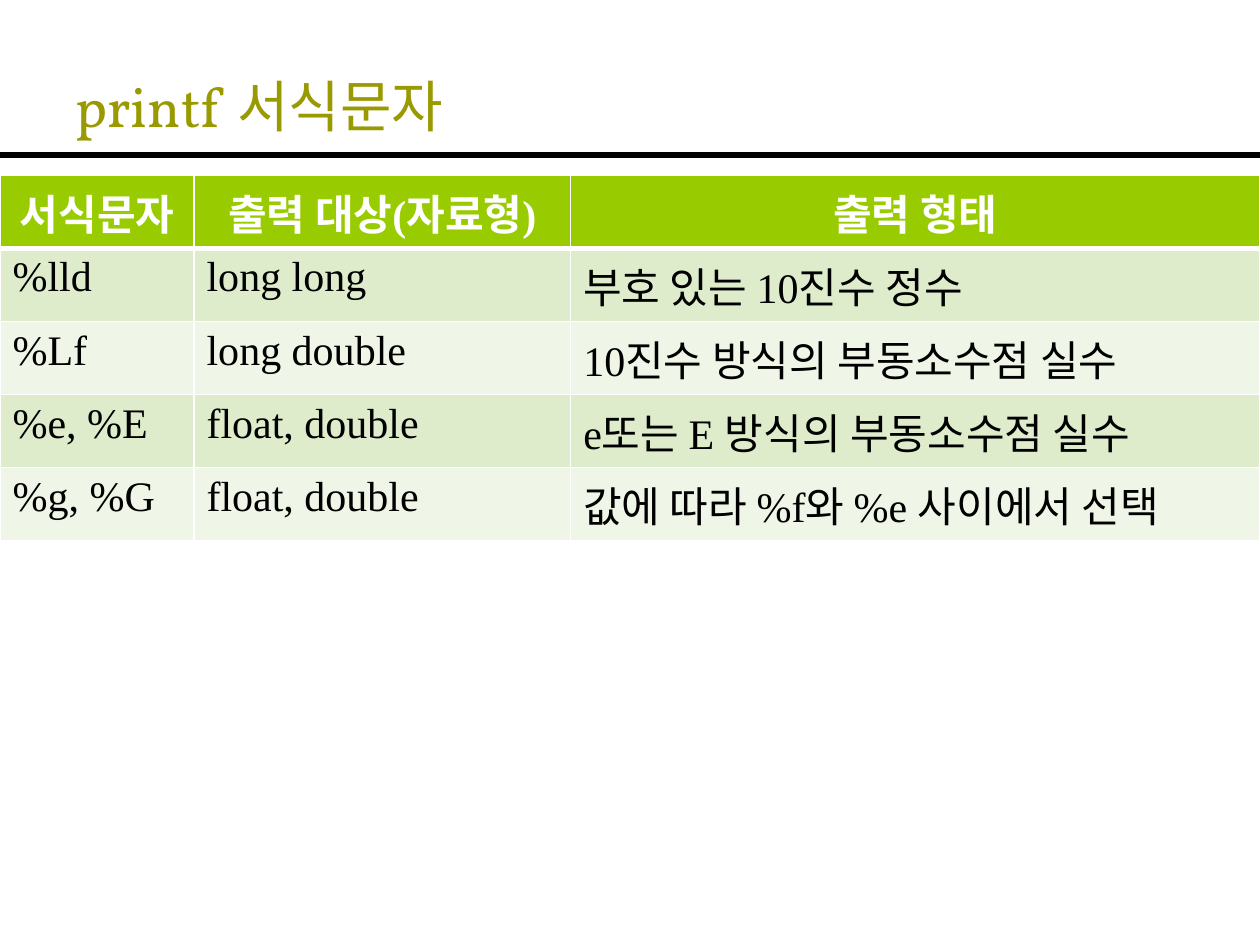
"""Build the slide that lists printf format specifiers."""
from lxml import etree
from pptx import Presentation
from pptx.dml.color import RGBColor
from pptx.enum.shapes import MSO_CONNECTOR
from pptx.enum.text import MSO_ANCHOR, PP_ALIGN
from pptx.oxml.ns import qn
from pptx.util import Inches, Pt

STRAIGHT = MSO_CONNECTOR.STRAIGHT
BOTTOM = MSO_ANCHOR.BOTTOM
CENTER, LEFT = PP_ALIGN.CENTER, PP_ALIGN.LEFT

WIDTH, HEIGHT = Inches(10), Inches(7.5)
COLORS = {
    "title": "999900",
    "rule": "000000",
    "header": "99CC00",
    "header_text": "FFFFFF",
    "body_text": "000000",
    "odd_row": "DEECCC",
    "even_row": "EFF6E7",
    "border": "FFFFFF",
}
COLUMN_SHARES = (0.154, 0.299, 0.547)
ROW_HEIGHT = Inches(0.58)
ROWS = (
    ("서식문자", "출력 대상(자료형)", "출력 형태"),
    ("%lld", "long long", "부호 있는 10진수 정수"),
    ("%Lf", "long double", "10진수 방식의 부동소수점 실수"),
    ("%e, %E", "float, double", "e또는 E 방식의 부동소수점 실수"),
    ("%g, %G", "float, double", "값에 따라 %f와 %e 사이에서 선택"),
)


def color(name):
    """Return the named colour of the palette."""
    return RGBColor.from_string(COLORS[name])


def style(para, font_name, size, color_name, bold=False):
    """Set the font of a whole paragraph."""
    font = para.font
    font.name, font.size, font.bold = font_name, Pt(size), bold
    font.color.rgb = color(color_name)


def add_rule(page, top):
    """Draw the heavy line across the full slide width."""
    rule = page.shapes.add_connector(STRAIGHT, 0, top, WIDTH, top)
    rule.line.color.rgb = color("rule")
    rule.line.width = Pt(3)
    etree.SubElement(rule._element.spPr, qn("a:effectLst"))


def add_title(page, text):
    """Add the title, resting on the bottom of its box."""
    box = page.shapes.add_textbox(
        int(WIDTH * 0.05), int(HEIGHT * 0.04), int(WIDTH * 0.9), Inches(0.85))
    frame = box.text_frame
    frame.word_wrap = True
    frame.vertical_anchor = BOTTOM
    frame.text = text
    style(frame.paragraphs[0], "Vollkorn", 32, "title")


def add_border(cell, side, points):
    """Add a solid border to one side of a cell."""
    properties = cell._tc.get_or_add_tcPr()
    line = etree.SubElement(properties, qn(f"a:ln{side}"), w=str(Pt(points)))
    fill = etree.SubElement(line, qn("a:solidFill"))
    etree.SubElement(fill, qn("a:srgbClr"), val=COLORS["border"])


def fill_cell(cell, text, row):
    """Write one cell and style it as header or banded body."""
    header = row == 0
    for side in "LRTB":
        heavy = (header and side == "B") or (row == 1 and side == "T")
        add_border(cell, side, 3 if heavy else 1)
    band = "header" if header else "odd_row" if row % 2 else "even_row"
    cell.fill.solid()
    cell.fill.fore_color.rgb = color(band)
    cell.text = text
    para = cell.text_frame.paragraphs[0]
    para.alignment = CENTER if header else LEFT
    style(para, "Times New Roman", 24,
          "header_text" if header else "body_text", header)


def add_format_table(page, top):
    """Add the full-width table of format specifiers."""
    table = page.shapes.add_table(
        len(ROWS), len(COLUMN_SHARES), 0, top, WIDTH,
        ROW_HEIGHT * len(ROWS)).table
    for column, share in zip(table.columns, COLUMN_SHARES):
        column.width = int(WIDTH * share)
    for row, texts in enumerate(ROWS):
        table.rows[row].height = ROW_HEIGHT
        for column, text in enumerate(texts):
            fill_cell(table.cell(row, column), text, row)


def main():
    """Create the deck and save it."""
    deck = Presentation()
    deck.slide_width, deck.slide_height = WIDTH, HEIGHT
    page = deck.slides.add_slide(deck.slide_layouts[6])
    add_rule(page, Inches(1.23))
    add_title(page, "printf 서식문자")
    add_format_table(page, Inches(1.39))
    deck.save("out.pptx")


if __name__ == "__main__":
    main()
